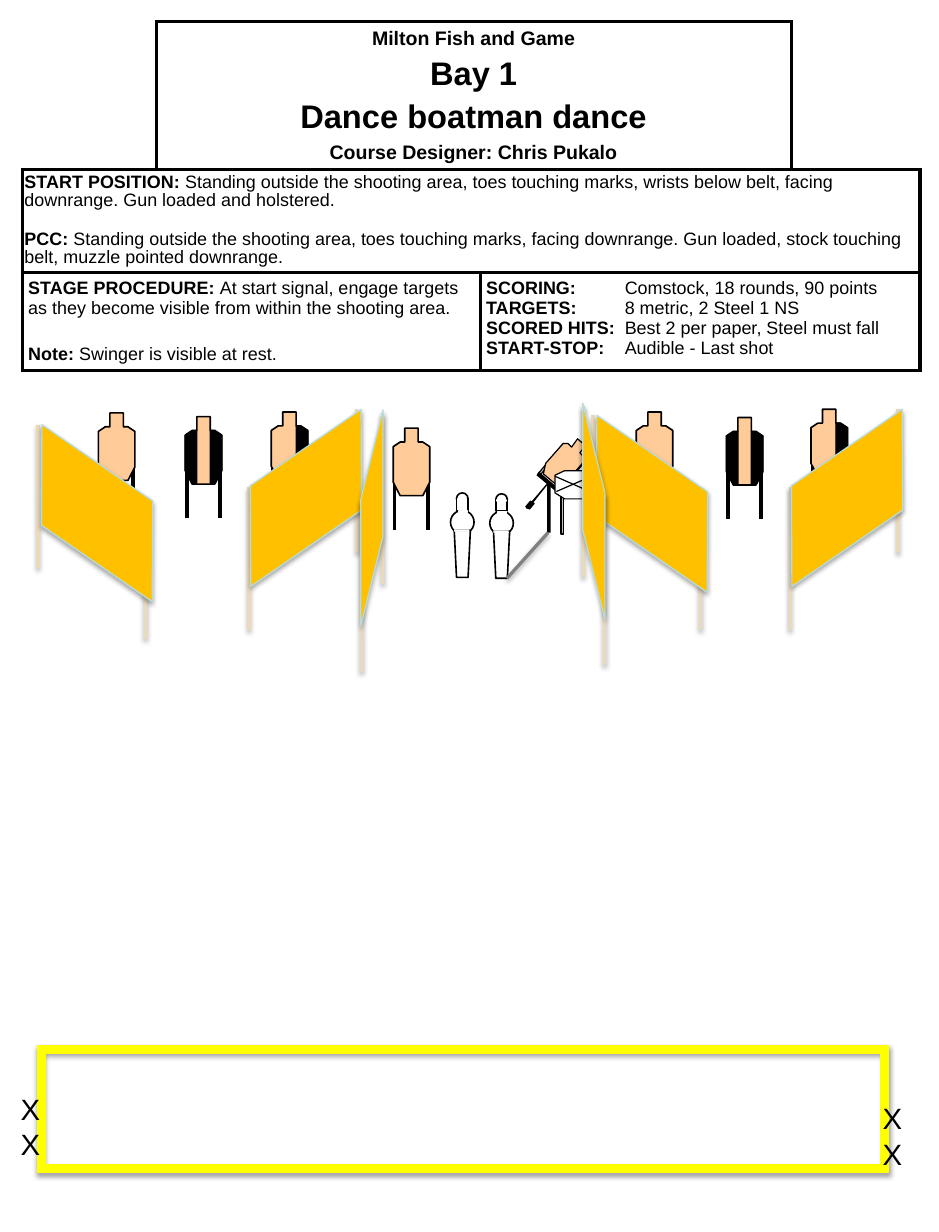
import dataclasses
import typing

import lxml.etree
import pptx
import pptx.dml.color
import pptx.enum.shapes
import pptx.enum.text
import pptx.oxml.ns
import pptx.util

Cm = pptx.util.Cm
Pt = pptx.util.Pt
qn = pptx.oxml.ns.qn
PRESET = pptx.enum.shapes.MSO_SHAPE
ALIGN = pptx.enum.text.PP_ALIGN
Points = typing.Sequence[tuple[float, float]]
Runs = typing.Sequence[tuple[str, bool]]


@dataclasses.dataclass(frozen=True)
class Theme:
    font: str = "Arial"
    heading: float = 20
    subheading: float = 12
    body: float = 11
    mark: float = 18
    black: str = "000000"
    white: str = "FFFFFF"
    cardboard: str = "FFCC99"
    steel: str = "C0C0C0"
    cord: str = "808080"
    wall: str = "FFC000"
    wall_edge: str = "B6DCDF"
    post: str = "EBDAB9"
    fault_line: str = "FFFF00"


THEME = Theme()


@dataclasses.dataclass(frozen=True)
class Paragraph:
    runs: Runs
    size: float = THEME.body
    before: float = 0
    align: ALIGN = ALIGN.LEFT
    line_spacing: float = 1.0
    tab: float = 0


@dataclasses.dataclass(frozen=True)
class Target:
    left: float
    top: float
    black_sides: str = ""


@dataclasses.dataclass(frozen=True)
class WallKind:
    width: float
    height: float
    skew: float
    rotation: float
    flip: str
    posts: Points  # tops of the posts, measured from the wall's centre
    post_length: float


@dataclasses.dataclass(frozen=True)
class Wall:
    kind: WallKind
    x: float
    y: float


FALLING = WallKind(4.14, 1.8, 0.682, 214.6, "flipV", ((1.05, -0.37), (-1.28, -1.92)), 3.1)
RISING = WallKind(4.14, 1.8, 0.682, 145.4, "", ((1.1, -1.92), (-1.23, -0.24)), 3.1)
STEEP_LEFT = WallKind(4.67, 0.48, 4.026, 90, "flipH", ((-0.23, -0.37), (0.23, -2.27)), 3.7)
STEEP_RIGHT = WallKind(4.67, 0.48, 4.026, 270, "", ((0.23, -0.37), (-0.23, -2.27)), 3.7)

BACK_TARGETS = (Target(17.55, 8.86, "R"), Target(5.87, 8.92, "R"),
                Target(13.77, 8.92), Target(2.13, 8.94))
FRONT_TARGETS = (Target(4.01, 9.02, "RL"), Target(15.72, 9.04, "RL"), Target(8.51, 9.27))
WALLS = (Wall(FALLING, 2.1, 11.11), Wall(FALLING, 14.11, 10.91),
         Wall(RISING, 18.33, 10.78), Wall(RISING, 6.62, 10.78),
         Wall(STEEP_LEFT, 8.05, 11.21), Wall(STEEP_RIGHT, 12.85, 11.06))

TARGET_WIDTH = 0.79
TARGET_OUTLINE = ((0.25, 0), (0.54, 0), (0.54, 0.3), (0.64, 0.3), (0.79, 0.4), (0.79, 1.17),
                  (0.64, 1.46), (0.15, 1.46), (0, 1.17), (0, 0.4), (0.15, 0.3), (0.25, 0.3))
BLACK_STRIP = ((0.54, 0.3), (0.54, 1.46), (0.63, 1.46), (0.79, 1.17), (0.79, 0.4), (0.63, 0.3))


def color(value: str) -> pptx.dml.color.RGBColor:
    return pptx.dml.color.RGBColor.from_string(value)


def finish(shape, fill: str | None, line: str | None, width: float = 0, shadow: bool = False) -> None:
    """Set fill, line and shadow of a shape or connector."""
    if fill:
        shape.fill.solid()
        shape.fill.fore_color.rgb = color(fill)
    if line:
        shape.line.color.rgb = color(line)
        shape.line.width = Pt(width)
    else:
        shape.line.fill.background()
    effects = lxml.etree.SubElement(shape._element.spPr, qn("a:effectLst"))
    if shadow:
        outer = lxml.etree.SubElement(effects, qn("a:outerShdw"), blurRad=str(Pt(3.1)),
                                      dist=str(Pt(1.8)), dir="5400000", rotWithShape="0")
        tone = lxml.etree.SubElement(outer, qn("a:srgbClr"), val=THEME.black)
        lxml.etree.SubElement(tone, qn("a:alpha"), val="35000")


def draw_line(shapes, start, end, line: str, width: float, shadow: bool = False) -> None:
    connector = shapes.add_connector(pptx.enum.shapes.MSO_CONNECTOR.STRAIGHT,
                                     Cm(start[0]), Cm(start[1]), Cm(end[0]), Cm(end[1]))
    finish(connector, None, line, width, shadow)


def draw_outline(shapes, points: Points, fill: str, line: str | None, width: float = 0,
                 left: float = 0, top: float = 0) -> None:
    corners = [(Cm(left + x), Cm(top + y)) for x, y in points]
    builder = shapes.build_freeform(*corners[0])
    builder.add_line_segments(corners[1:], close=True)
    finish(builder.convert_to_shape(), fill, line, width)


def draw_preset(shapes, preset, left, top, width, height, fill, line, line_width=0.0,
                shadow=False, adjustment: float | None = None):
    shape = shapes.add_shape(preset, Cm(left), Cm(top), Cm(width), Cm(height))
    if adjustment is not None:
        shape.adjustments[0] = adjustment
    finish(shape, fill, line, line_width, shadow)
    return shape


def draw_target(slide, target: Target) -> None:
    shapes = slide.shapes.add_group_shape().shapes
    for offset in (0.03, 0.75):
        x = target.left + offset
        draw_line(shapes, (x, target.top + 1.08), (x, target.top + 2.2), THEME.black, 2.25)
    draw_outline(shapes, TARGET_OUTLINE, THEME.cardboard, THEME.black, 1, target.left, target.top)
    for side in target.black_sides:
        strip = BLACK_STRIP if side == "R" else [(TARGET_WIDTH - x, y) for x, y in BLACK_STRIP]
        draw_outline(shapes, strip, THEME.black, THEME.black, 0, target.left, target.top)


def draw_wall(slide, wall: Wall) -> None:
    shapes = slide.shapes.add_group_shape().shapes
    kind = wall.kind
    for dx, dy in kind.posts:
        x, y = wall.x + dx, wall.y + dy
        draw_line(shapes, (x, y), (x, y + kind.post_length), THEME.post, 2, True)
    shape = draw_preset(shapes, PRESET.PARALLELOGRAM, wall.x - kind.width / 2,
                        wall.y - kind.height / 2, kind.width, kind.height,
                        THEME.wall, THEME.wall_edge, 0.75, True, kind.skew)
    shape.rotation = kind.rotation
    if kind.flip:
        shape._element.spPr.xfrm.set(kind.flip, "1")


def draw_popper(slide, left: float, top: float) -> None:
    shapes = slide.shapes.add_group_shape().shapes
    white, black = THEME.white, THEME.black
    draw_preset(shapes, PRESET.OVAL, left + 0.13, top, 0.25, 0.25, white, black, 1)
    draw_preset(shapes, PRESET.OVAL, left, top + 0.38, 0.51, 0.51, white, black, 1)
    draw_outline(shapes, ((0.08, 0.81), (0.43, 0.81), (0.38, 1.83), (0.13, 1.83)),
                 white, black, 1, left, top)
    # neck, then the patches that hide inner edges
    for x, y, width, height, line in ((0.13, 0.13, 0.25, 0.25, black), (0.08, 0.79, 0.33, 0.05, None),
                                      (0.18, 0.38, 0.18, 0.05, white), (0.15, 0.13, 0.2, 0.03, white)):
        draw_preset(shapes, PRESET.RECTANGLE, left + x, top + y, width, height, white, line, 1)


def draw_swinger(slide) -> None:
    shapes = slide.shapes.add_group_shape().shapes
    black, steel = THEME.black, THEME.steel
    for points, fill, line, width in (
        (((11.66, 10.24), (11.71, 10.26), (12.24, 9.65), (12.19, 9.6)), steel, black, 0),
        (((12.07, 10.59), (12.12, 10.62), (12.65, 10.01), (12.6, 9.96)), steel, black, 0),
        (((11.4, 11), (11.43, 11), (11.86, 10.46)), black, black, 0),
        (((11.61, 10.29), (12.09, 10.69), (12.14, 10.62), (11.66, 10.21)), black, None, 0),
        (((11.38, 10.97), (11.46, 11.02), (11.56, 10.9), (11.48, 10.85)), black, black, 0),
        (((12.67, 9.65), (12.5, 9.5), (12.37, 9.68), (12.29, 9.6), (12.19, 9.6), (11.81, 10.03),
          (11.76, 10.26), (12.07, 10.52), (12.27, 10.41), (12.65, 9.98), (12.62, 9.88),
          (12.55, 9.8)), THEME.cardboard, black, 0.75),
    ):
        draw_outline(shapes, points, fill, line, width)
    draw_preset(shapes, PRESET.RECTANGLE, 11.84, 10.44, 0.08, 1.09, black, None)
    for x, y in ((12.14, 10.26), (12.73, 10.24)):
        draw_preset(shapes, PRESET.RECTANGLE, x, y, 0.05, 1.3, steel, black)
    # no-shoot in front of the swinger, crossed out
    draw_outline(shapes, ((13.06, 10.59), (13.06, 10.36), (12.85, 10.36), (12.85, 10.26),
                          (12.78, 10.19), (12.22, 10.19), (12.01, 10.29), (12.01, 10.67),
                          (12.22, 10.8), (12.78, 10.8), (12.85, 10.69), (12.85, 10.59)),
                 THEME.white, black)
    draw_line(shapes, (12.04, 10.64), (12.85, 10.29), black, 0.75)
    draw_line(shapes, (12.01, 10.31), (12.83, 10.67), black, 0.75)


def write_paragraphs(frame, paragraphs: typing.Sequence[Paragraph]) -> None:
    frame.word_wrap = True
    for index, item in enumerate(paragraphs):
        paragraph = frame.add_paragraph() if index else frame.paragraphs[0]
        paragraph.alignment = item.align
        paragraph.line_spacing = item.line_spacing
        if item.before:
            paragraph.space_before = Pt(item.before)
        if item.tab:
            stops = lxml.etree.SubElement(paragraph._p.get_or_add_pPr(), qn("a:tabLst"))
            lxml.etree.SubElement(stops, qn("a:tab"), pos=str(Cm(item.tab)), algn="l")
        for text, bold in item.runs:
            run = paragraph.add_run()
            run.text = text
            run.font.name, run.font.size, run.font.bold = THEME.font, Pt(item.size), bold
            run.font.color.rgb = color(THEME.black)


def format_cell(cell, sides: str) -> None:
    cell.fill.solid()
    cell.fill.fore_color.rgb = color(THEME.white)
    properties = cell._tc.get_or_add_tcPr()
    for index, side in enumerate(sides):
        border = lxml.etree.Element(qn("a:ln" + side), w=str(Pt(2.25)))
        fill = lxml.etree.SubElement(border, qn("a:solidFill"))
        lxml.etree.SubElement(fill, qn("a:srgbClr"), val=THEME.black)
        properties.insert(index, border)


def fill_cell(table, row: int, column: int, last_column: int, margins: tuple[float, float],
              paragraphs: typing.Sequence[Paragraph]) -> None:
    cell = table.cell(row, column)
    cell.merge(table.cell(row, last_column))
    cell.margin_left = cell.margin_right = Cm(margins[0])
    cell.margin_top = cell.margin_bottom = Cm(margins[1])
    write_paragraphs(cell.text_frame, paragraphs)


def draw_briefing(slide) -> None:
    columns, rows = (2.9, 7.01, 6.73, 2.79), (3.2, 2.23, 2.13)
    table = slide.shapes.add_table(len(rows), len(columns), Cm(0.48), Cm(0.46),
                                   Cm(sum(columns)), Cm(sum(rows))).table
    table.first_row = table.horz_banding = False
    for column, width in zip(table.columns, columns):
        column.width = Cm(width)
    for row, height in zip(table.rows, rows):
        row.height = Cm(height)
    corner_sides = {(0, 0): "RB", (0, 3): "LB"}
    for row in range(len(rows)):
        for column in range(len(columns)):
            format_cell(table.cell(row, column), corner_sides.get((row, column), "LRTB"))
    # heading
    headings = (("Milton Fish and Game", THEME.subheading), ("Bay 1", THEME.heading),
                ("Dance boatman dance", THEME.heading),
                ("Course Designer: Chris Pukalo", THEME.subheading))
    fill_cell(table, 0, 1, 2, (0.13, 0.13), [
        Paragraph(((text, True),), size, 4 if index else 0, ALIGN.CENTER)
        for index, (text, size) in enumerate(headings)])
    table.cell(0, 1).vertical_anchor = pptx.enum.text.MSO_ANCHOR.MIDDLE
    # start position
    fill_cell(table, 1, 0, 3, (0.05, 0.1), [
        Paragraph((("START POSITION:", True), (" Standing outside the shooting area, toes touching marks, "
                   "wrists below belt, facing downrange. Gun loaded and holstered.", False)),
                  line_spacing=0.9),
        Paragraph((("PCC: ", True), ("Standing outside the shooting area, toes touching marks, facing "
                   "downrange. Gun loaded, stock touching belt, muzzle pointed downrange.", False)),
                  before=13, line_spacing=0.9)])
    # procedure and scoring
    fill_cell(table, 2, 0, 1, (0.13, 0.13), [
        Paragraph((("STAGE PROCEDURE: ", True), ("At start signal, engage targets as they become "
                   "visible from within the shooting area.", False))),
        Paragraph((("Note: ", True), ("Swinger is visible at rest.", False)), before=16)])
    scoring = (("SCORING:", "Comstock, 18 rounds, 90 points"), ("TARGETS:", "8 metric, 2 Steel 1 NS"),
               ("SCORED HITS:", "Best 2 per paper, Steel must fall"), ("START-STOP:", "Audible - Last shot"))
    fill_cell(table, 2, 2, 3, (0.13, 0.13), [
        Paragraph(((label, True), ("\t" + value, False)), tab=3) for label, value in scoring])


def main() -> None:
    presentation = pptx.Presentation()
    presentation.slide_width, presentation.slide_height = Cm(20.32), Cm(26.67)
    slide = presentation.slides.add_slide(presentation.slide_layouts[6])
    draw_swinger(slide)
    for target in BACK_TARGETS:
        draw_target(slide, target)
    draw_briefing(slide)
    # shooting area
    draw_preset(slide.shapes, PRESET.FRAME, 0.81, 22.63, 18.42, 2.74,
                THEME.fault_line, THEME.fault_line, 0.75, True, 0.061)
    for wall in WALLS:
        draw_wall(slide, wall)
    for target in FRONT_TARGETS:
        draw_target(slide, target)
    for left, top in ((9.75, 10.67), (10.6, 10.69)):
        draw_popper(slide, left, top)
    # cord from popper to swinger
    draw_line(slide.shapes, (10.97, 12.52), (11.86, 11.53), THEME.cord, 2, True)
    # start marks
    for left, top in ((0.2, 23.5), (18.85, 23.7)):
        box = slide.shapes.add_textbox(Cm(left), Cm(top), Cm(0.97), Cm(1.8))
        write_paragraphs(box.text_frame, [Paragraph((("XX", False),), THEME.mark)])
    presentation.save("out.pptx")


if __name__ == "__main__":
    main()
